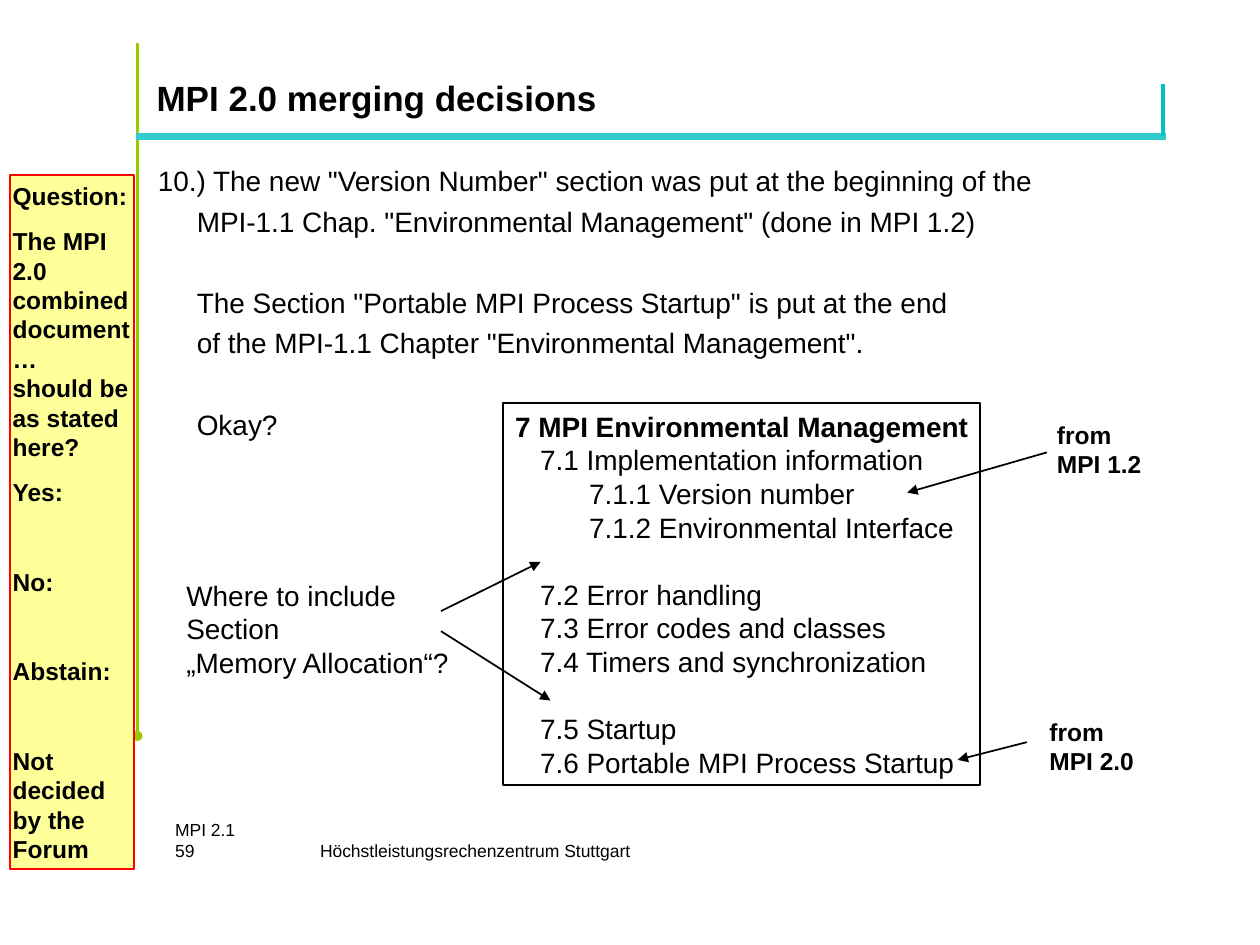
"""Build the slide on MPI 2.0 merging decisions."""
from lxml import etree
from pptx import Presentation
from pptx.dml.color import RGBColor
from pptx.enum import shapes, text
from pptx.oxml import ns
from pptx.util import Pt

BLACK = RGBColor(0x00, 0x00, 0x00)
GREEN = RGBColor(0x99, 0xCC, 0x00)
TURQUOISE = RGBColor(0x33, 0xCC, 0xCC)
TEAL = RGBColor(0x00, 0xC3, 0xC7)
YELLOW = RGBColor(0xFF, 0xFF, 0x99)
RED = RGBColor(0xFF, 0x00, 0x00)

FONT = "Arial"
LEADING = 1.2
BODY_SIZE, NOTE_SIZE, FOOTER_SIZE = 16, 14, 10
BODY_SPACE, BODY_INDENT = 4, 22.3
BODY_GAP = 2 * BODY_SPACE + BODY_SIZE * LEADING
NOTE_SPACE = 8.8
NOTE_GAP = 2 * NOTE_SPACE + NOTE_SIZE * LEADING
OUTLINE_GAP = BODY_SIZE * LEADING
LEVEL_INDENTS = (0, 14.2, 42.3)

BODY = [
    ('10.) The new "Version Number" section was put at the beginning of the', 0, 0),
    ('MPI-1.1 Chap. "Environmental Management" (done in MPI 1.2)', BODY_INDENT, BODY_SPACE),
    ('The Section "Portable MPI Process Startup" is put at the end', BODY_INDENT, BODY_GAP),
    ('of the MPI-1.1 Chapter "Environmental Management".', BODY_INDENT, BODY_SPACE),
    ("Okay?", BODY_INDENT, BODY_GAP),
]
QUESTION = [
    ("Question:", 0, 0),
    ("The MPI 2.0 combined document\v…\vshould be as stated here?", 0, NOTE_SPACE),
    ("Yes:", 0, NOTE_SPACE),
    ("No:", 0, NOTE_GAP),
    ("Abstain:", 0, NOTE_GAP),
    ("Not decided by the Forum", 0, NOTE_GAP),
]
OUTLINE = [
    ("7 MPI Environmental Management", LEVEL_INDENTS[0], 0),
    ("7.1 Implementation information", LEVEL_INDENTS[1], 0),
    ("7.1.1 Version number", LEVEL_INDENTS[2], 0),
    ("7.1.2 Environmental Interface", LEVEL_INDENTS[2], 0),
    ("7.2 Error handling", LEVEL_INDENTS[1], OUTLINE_GAP),
    ("7.3 Error codes and classes", LEVEL_INDENTS[1], 0),
    ("7.4 Timers and synchronization", LEVEL_INDENTS[1], 0),
    ("7.5 Startup", LEVEL_INDENTS[1], OUTLINE_GAP),
    ("7.6 Portable MPI Process Startup", LEVEL_INDENTS[1], 0),
]
ARROWS = [
    (598.3, 258.5, 518.4, 281.5),
    (586.8, 424.1, 547.2, 434.2),
    (252, 349.2, 308.9, 321.1),
    (252, 360.7, 314.6, 400.3),
]


def add_line(slide, ends, color, width, arrow=False):
    """Draw a straight line, with an arrowhead at its end if asked."""
    line = slide.shapes.add_connector(
        shapes.MSO_CONNECTOR.STRAIGHT, *(Pt(value) for value in ends))
    line.line.color.rgb = color
    line.line.width = Pt(width)
    if arrow:
        etree.SubElement(line.line._get_or_add_ln(), ns.qn("a:tailEnd"), type="triangle")
    etree.SubElement(line._element.spPr, ns.qn("a:effectLst"))


def add_panel(slide, kind, box, fill=None, outline=None):
    """Add a preset shape with an optional fill and outline."""
    shape = slide.shapes.add_shape(kind, *(Pt(value) for value in box))
    shape.shadow.inherit = False
    if fill is None:
        shape.fill.background()
    else:
        shape.fill.solid()
        shape.fill.fore_color.rgb = fill
    if outline is None:
        shape.line.fill.background()
    else:
        shape.line.color.rgb = outline
        shape.line.width = Pt(1)
    return shape


def fill_text(shape, items, size, bold=False, margins=(7.2, 3.6), wrap=True,
              anchor=text.MSO_ANCHOR.TOP, align=text.PP_ALIGN.LEFT):
    """Write paragraphs given as text, left indent and space before."""
    frame = shape.text_frame
    frame.word_wrap = wrap
    frame.vertical_anchor = anchor
    frame.margin_left = frame.margin_right = Pt(margins[0])
    frame.margin_top = frame.margin_bottom = Pt(margins[1])
    for index, (content, indent, space) in enumerate(items):
        paragraph = frame.paragraphs[0] if index == 0 else frame.add_paragraph()
        paragraph.text = content
        paragraph.alignment = align
        paragraph.line_spacing = Pt(size * LEADING)
        paragraph.space_before = Pt(space)
        if indent:
            paragraph._p.get_or_add_pPr().set("marL", str(Pt(indent)))
        for run in paragraph.runs:
            run.font.name = FONT
            run.font.size = Pt(size)
            run.font.bold = bold
            run.font.color.rgb = BLACK


def add_text(slide, box, items, size, **options):
    """Add a text box with formatted paragraphs."""
    shape = slide.shapes.add_textbox(*(Pt(value) for value in box))
    fill_text(shape, items, size, **options)


def add_footer(slide, box, content, **options):
    """Add one small footer text without margins."""
    add_text(slide, box, [(content, 0, 0)], FOOTER_SIZE, margins=(0, 0),
             anchor=text.MSO_ANCHOR.MIDDLE, **options)


def add_frame(slide):
    """Draw the coloured rules around the title and the footer."""
    add_line(slide, (78.5, 24.5, 78.5, 419.8), GREEN, 2)
    add_line(slide, (77.8, 77.8, 666, 77.8), TURQUOISE, 4)
    add_panel(slide, shapes.MSO_SHAPE.OVAL, (75.6, 417.6, 5.8, 5.8), GREEN)
    add_line(slide, (664.6, 77.8, 664.6, 48.2), TEAL, 2)
    add_footer(slide, (176, 480.2, 184, 12.2), "Höchstleistungsrechenzentrum Stuttgart",
               align=text.PP_ALIGN.RIGHT)
    add_footer(slide, (100.1, 468, 169.9, 12.2), "MPI 2.1")
    add_footer(slide, (100.1, 480.2, 70.6, 12.2), "59")


def main():
    """Assemble and save the slide."""
    presentation = Presentation()
    presentation.slide_width, presentation.slide_height = Pt(720), Pt(540)
    slide = presentation.slides.add_slide(presentation.slide_layouts[6])
    add_frame(slide)
    add_text(slide, (82.4, 41.8, 583.2, 28.1), [("MPI 2.0 merging decisions", 0, 0)], 20,
             bold=True, anchor=text.MSO_ANCHOR.MIDDLE)
    add_text(slide, (83.1, 90, 583.2, 162.7), BODY, BODY_SIZE)

    rectangle = shapes.MSO_SHAPE.RECTANGLE
    question = add_panel(slide, rectangle, (5.8, 100.1, 70.9, 396.7), YELLOW, RED)
    fill_text(question, QUESTION, NOTE_SIZE, bold=True, margins=(1.4, 3.6))
    outline = add_panel(slide, rectangle, (287.3, 230.4, 272.9, 218.2), outline=BLACK)
    fill_text(outline, OUTLINE, BODY_SIZE, wrap=False)
    outline.text_frame.paragraphs[0].runs[0].font.bold = True

    for left, top, version in ((596.9, 236.2, "MPI 1.2"), (592.6, 406.1, "MPI 2.0")):
        add_text(slide, (left, top, 62.6, 41), [("from", 0, 0), (version, 0, 0)],
                 NOTE_SIZE, bold=True, wrap=False)
    for ends in ARROWS:
        add_line(slide, ends, BLACK, 1, arrow=True)
    add_text(slide, (99.4, 326.9, 164.9, 64.8),
             [("Where to include\vSection", 0, 0), ("„Memory Allocation“?", 0, 0)],
             BODY_SIZE, wrap=False)
    presentation.save("out.pptx")


if __name__ == "__main__":
    main()
